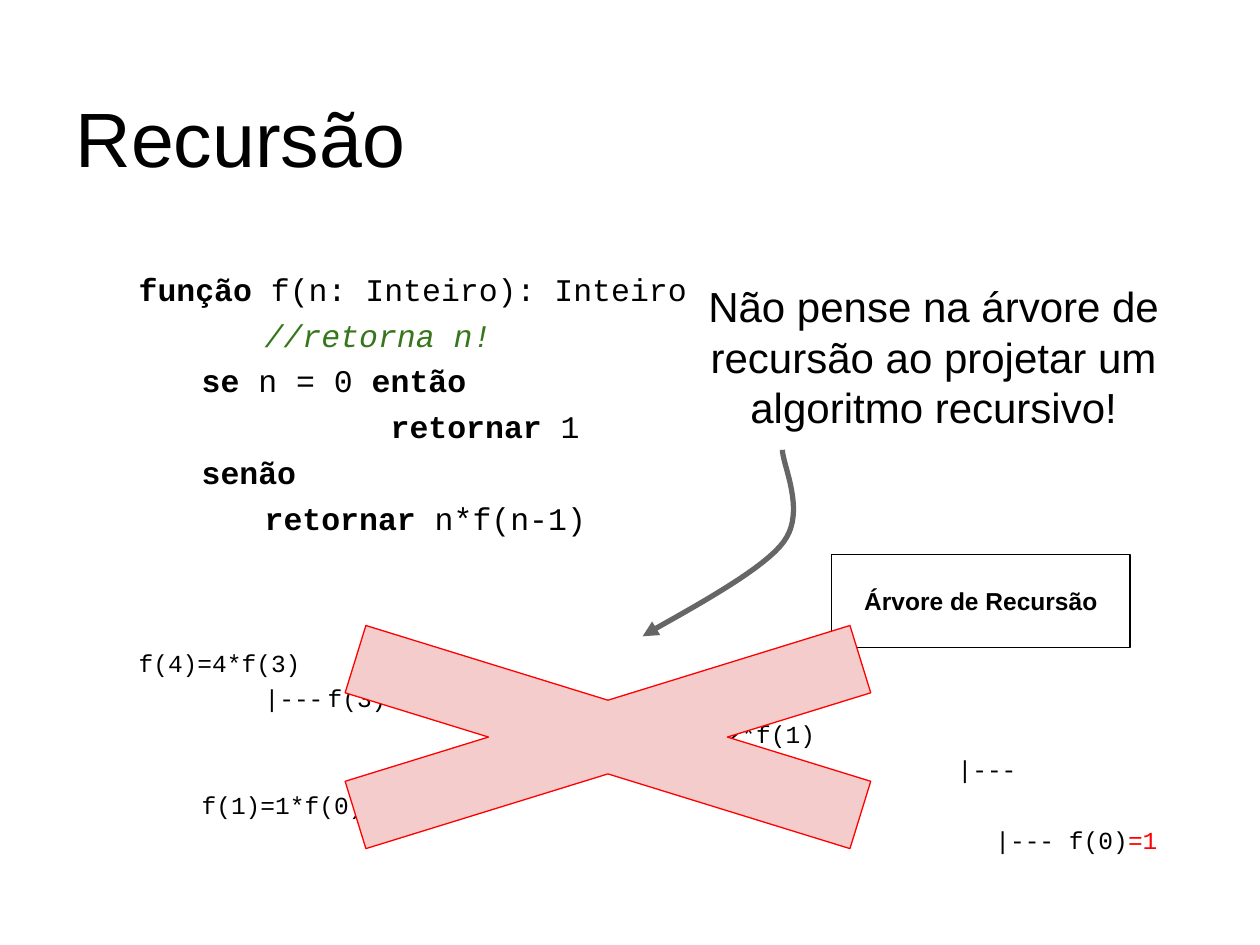
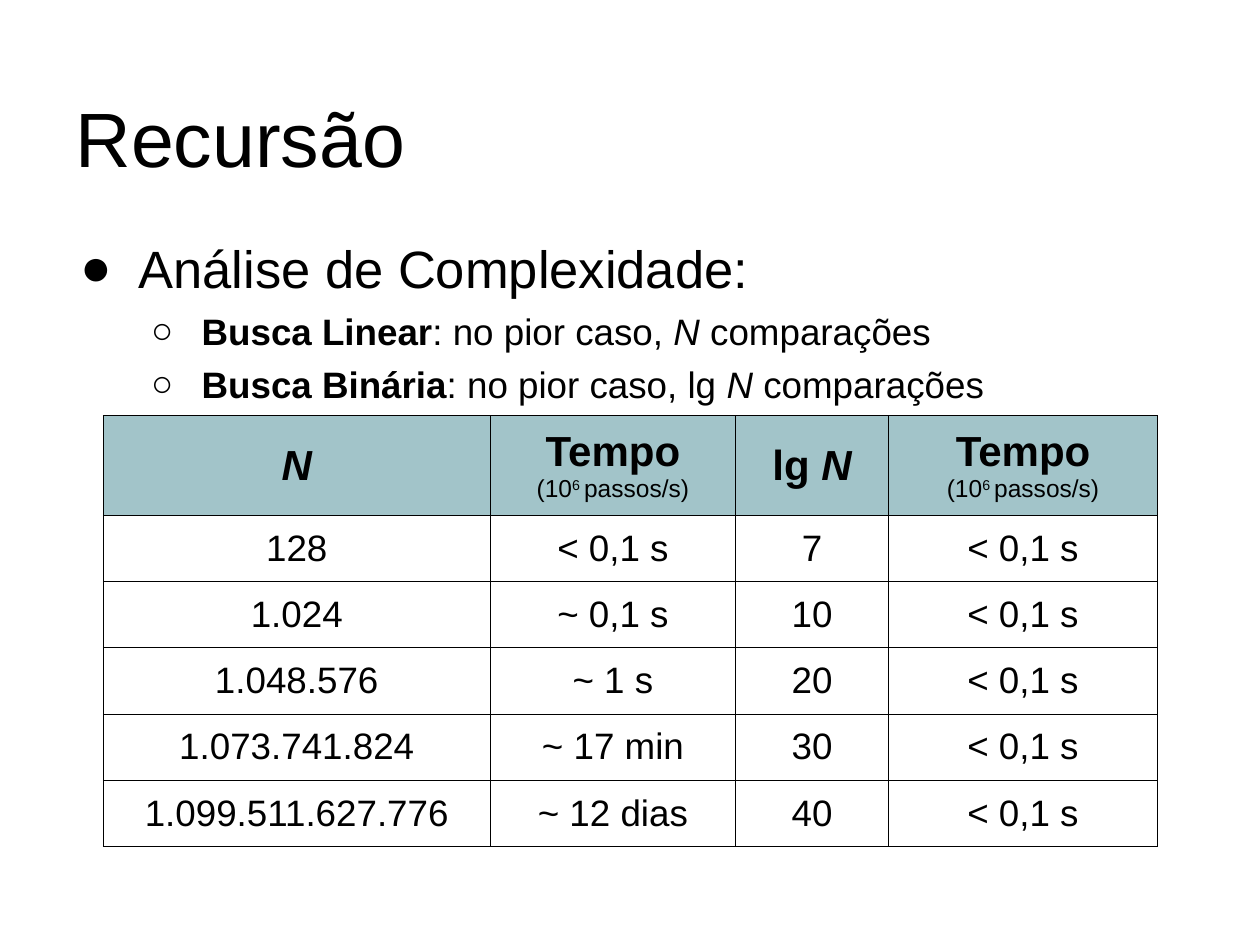
from lxml.etree import SubElement
from pptx import Presentation
from pptx.dml.color import RGBColor
from pptx.enum.shapes import MSO_SHAPE
from pptx.enum.text import MSO_ANCHOR, MSO_AUTO_SIZE, PP_ALIGN
from pptx.oxml.ns import qn
from pptx.util import Inches, Pt

WIDE, HIGH = 10, 7.5
SANS, MONO = "Arial", "Courier New"
BLACK, GREEN, RED, GRAY = "000000", "38761D", "FF0000", "666666"
PINK, TEAL = "F4CCCC", "A2C4C9"
INSET = 0.1
LEADING = 1.21
CODE, TREE = 18, 14

LINES = [
    (0, [("função ", "b"), ("f(n: Inteiro): Inteiro", "")]),
    (0, [("\t", ""), ("//retorna n!", "ig")]),
    (0.5, [("se ", "b"), ("n = 0 ", ""), ("então", "b")]),
    (0, [("\t\t", ""), ("retornar ", "b"), ("1", "")]),
    (0.5, [("senão", "b")]),
    (0.5, [("\t", ""), ("retornar ", "b"), ("n*f(n-1)", "")]),
]
CALLS = [
    "|---\tf(3)=3*f(2)",
    "\t\t\t|--- f(2)=2*f(1)",
    "\t\t\t\t\t\t|--- f(1)=1*f(0)",
    "\t\t\t\t\t\t\t\t\t|--- f(0)",
]
CURVES = [
    [(62.1, 47.6), (62.1, 49.2), (64, 54.13), (62.2, 57.33)],
    [(62.2, 57.33), (60.4, 60.67), (52.9, 65.73), (51, 67.33)],
]
SPEED = [[("Tempo", "b", 24)],
         [("(10", "", 14), ("6 ", "u", 14), ("passos/s)", "", 14)]]
HEADS = [[[("N", "bi", 24)]], SPEED,
         [[("lg ", "b", 24), ("N", "bi", 24)]], SPEED]
TIMES = [
    ("128", "< 0,1 s", "7"),
    ("1.024", "~ 0,1 s", "10"),
    ("1.048.576", "~ 1 s", "20"),
    ("1.073.741.824", "~ 17 min", "30"),
    ("1.099.511.627.776", "~ 12 dias", "40"),
]
COLS = [30.7, 19.5, 12.1, 21.4]


def tint(code):
    return RGBColor.from_string(code)


def across(share):
    return Inches(WIDE * share / 100)


def down(share):
    return Inches(HIGH * share / 100)


def area(left, top, width, height):
    return across(left), down(top), across(width), down(height)


def place(shape, *spot):
    shape.left, shape.top, shape.width, shape.height = area(*spot)


def setup(frame, anchor=MSO_ANCHOR.TOP, top=INSET):
    frame.word_wrap = True
    frame.auto_size = MSO_AUTO_SIZE.NONE
    frame.vertical_anchor = anchor
    frame.margin_left = frame.margin_right = frame.margin_bottom = Inches(INSET)
    frame.margin_top = Inches(top)


def style(run, size, face=SANS, marks="", color=BLACK):
    font = run.font
    font.size, font.name = Pt(size), face
    font.bold, font.italic = "b" in marks, "i" in marks
    font.color.rgb = tint(GREEN if "g" in marks else RED if "r" in marks else color)
    if "u" in marks:
        font._element.set("baseline", "30000")


def write(para, parts, size, face=SANS):
    for text, marks, *own in parts:
        run = para.add_run()
        run.text = text
        style(run, own[0] if own else size, face, marks)


def lines(frame):
    yield frame.paragraphs[0]
    while True:
        yield frame.add_paragraph()


def indent(para, left, first, bullet=None, before=0):
    para.line_spacing = LEADING
    para.space_before, para.space_after = Pt(before), Pt(0)
    props = para._p.get_or_add_pPr()
    props.set("marL", str(Inches(left)))
    props.set("indent", str(Inches(first)))
    props.set("defTabSz", str(Inches(1)))
    if bullet:
        color = SubElement(props, qn("a:buClr"))
        SubElement(color, qn("a:srgbClr"), val=BLACK)
        SubElement(props, qn("a:buFont"), typeface=SANS)
        SubElement(props, qn("a:buChar"), char=bullet)
    else:
        SubElement(props, qn("a:buNone"))


def label(frame, text, size, marks="", align=PP_ALIGN.CENTER, anchor=MSO_ANCHOR.TOP):
    setup(frame, anchor)
    frame.text = text
    para = frame.paragraphs[0]
    para.alignment = align
    style(para.runs[0], size, marks=marks)


def start(deck, top, inset=INSET):
    slide = deck.slides.add_slide(deck.slide_layouts[1])
    title, body = slide.shapes.title, slide.placeholders[1]
    place(title, 5, 4, 90, 16.67)
    label(title.text_frame, "Recursão", 44, "", PP_ALIGN.LEFT, MSO_ANCHOR.BOTTOM)
    place(body, 5, top, 90, 72.4)
    setup(body.text_frame, top=inset)
    return slide, body.text_frame


def block(slide, kind, spot, line, fill=None):
    shape = slide.shapes.add_shape(kind, *area(*spot))
    shape.shadow.inherit = False
    shape.line.color.rgb, shape.line.width = tint(line), Pt(0.75)
    if fill:
        shape.fill.solid()
        shape.fill.fore_color.rgb = tint(fill)
    else:
        shape.fill.background()
    return shape


def bezier(curve, t):
    weights = (1 - t) ** 3, 3 * t * (1 - t) ** 2, 3 * t * t * (1 - t), t ** 3
    x, y = (sum(w * p[axis] for w, p in zip(weights, curve)) for axis in (0, 1))
    return across(x), down(y)


def arrow(slide, curves, steps=20):
    pen = slide.shapes.build_freeform(*bezier(curves[0], 0))
    pen.add_line_segments([bezier(curve, step / steps) for curve in curves
                           for step in range(1, steps + 1)], close=False)
    shape = pen.convert_to_shape()
    shape.shadow.inherit = False
    shape.fill.background()
    shape.line.color.rgb, shape.line.width = tint(GRAY), Pt(3)
    SubElement(shape.line._get_or_add_ln(), qn("a:tailEnd"), type="triangle")


def border(cell):
    props = cell._tc.get_or_add_tcPr()
    for side in ("lnL", "lnR", "lnT", "lnB"):
        line = SubElement(props, qn("a:" + side), w=str(Pt(0.75)))
        fill = SubElement(line, qn("a:solidFill"))
        SubElement(fill, qn("a:srgbClr"), val=BLACK)


def fill_cell(cell, paras, fill=None):
    border(cell)
    cell.vertical_anchor = MSO_ANCHOR.MIDDLE
    cell.margin_left = cell.margin_right = Inches(INSET)
    cell.margin_top = cell.margin_bottom = Inches(INSET)
    if fill:
        cell.fill.solid()
        cell.fill.fore_color.rgb = tint(fill)
    else:
        cell.fill.background()
    for parts, para in zip(paras, lines(cell.text_frame)):
        para.alignment = PP_ALIGN.CENTER
        write(para, parts, 21)


def grid(slide):
    heights = [6.4] + [5.6] * len(TIMES)
    spot = area(8.2, 44, sum(COLS), sum(heights))
    table = slide.shapes.add_table(len(heights), len(COLS), *spot).table
    table.first_row = table.horz_banding = False
    for col, width in zip(table.columns, COLS):
        col.width = across(width)
    for row, height in zip(table.rows, heights):
        row.height = down(height)
    for col, paras in enumerate(HEADS):
        fill_cell(table.cell(0, col), paras, TEAL)
    for row, times in enumerate(TIMES, 1):
        for col, text in enumerate(times + ("< 0,1 s",)):
            fill_cell(table.cell(row, col), [[(text, "")]])


def draw_tree(deck):
    slide, frame = start(deck, 23.33, 0.33)
    paras = lines(frame)
    for first, parts in LINES:
        para = next(paras)
        indent(para, 0.5, first)
        write(para, parts, CODE, MONO)
    root = next(paras)
    indent(root, 0.5, 0, before=60)
    write(root, [("f(4)=4*f(3)", "")], TREE, MONO)
    for call in CALLS:
        para = next(paras)
        indent(para, 1, 0.5)
        write(para, [(call, "")], TREE, MONO)
    write(para, [("=1", "r")], TREE, MONO)

    name = block(slide, MSO_SHAPE.RECTANGLE, (66, 58.67, 23.7, 9.87), BLACK)
    label(name.text_frame, "Árvore de Recursão", 14, "b", anchor=MSO_ANCHOR.MIDDLE)
    cross = block(slide, MSO_SHAPE.MATH_MULTIPLY, (9.7, 62.13, 77.1, 31.73), RED, PINK)
    cross.adjustments[0] = 0.235
    note = slide.shapes.add_textbox(*area(54.6, 28.4, 39, 26.13))
    label(note.text_frame, "Não pense na árvore de recursão ao projetar um "
          "algoritmo recursivo!", 24)
    arrow(slide, CURVES)


def draw_costs(deck):
    slide, frame = start(deck, 22.27)
    paras = lines(frame)
    head = next(paras)
    indent(head, 0.5, -0.46, "●")
    write(head, [("Análise de Complexidade:", "")], 30)
    for name, cost in (("Linear", ""), ("Binária", "lg ")):
        para = next(paras)
        para.level = 1
        indent(para, 1, -0.4, "○")
        write(para, [("Busca " + name, "b"), (": no pior caso, " + cost, ""),
                     ("N", "i"), (" comparações", "")], 21)
    grid(slide)


def main():
    deck = Presentation()
    deck.slide_width, deck.slide_height = Inches(WIDE), Inches(HIGH)
    draw_tree(deck)
    draw_costs(deck)
    deck.save("out.pptx")


if __name__ == "__main__":
    main()
